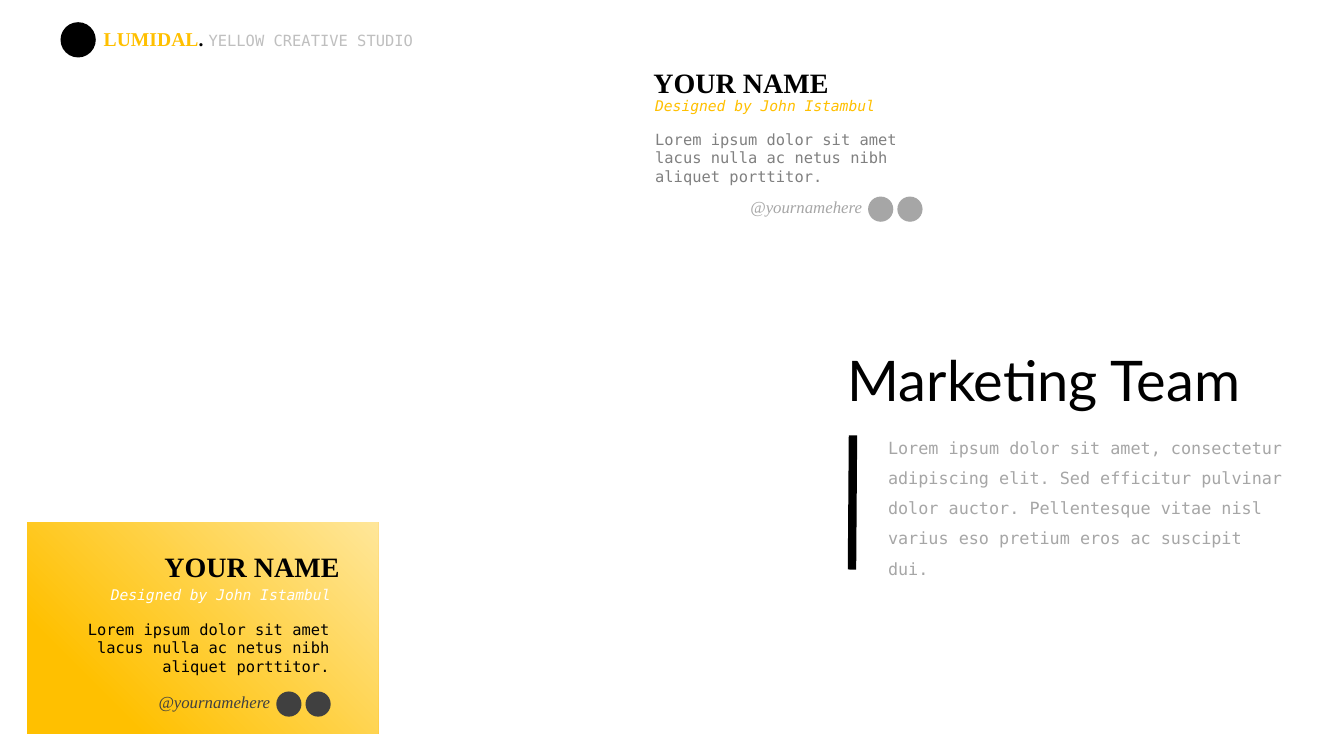
from pptx import Presentation
from pptx.dml.color import RGBColor as Rgb
from pptx.enum.shapes import MSO_CONNECTOR as Link, MSO_SHAPE as Kind
from pptx.enum.text import MSO_ANCHOR as Anchor, MSO_AUTO_SIZE as Fit, PP_ALIGN as Align
from pptx.util import Inches, Pt
from lxml.etree import SubElement

INK = {"black": "000000", "white": "FFFFFF", "gold": "FFC000", "pale": "FFE699",
       "dark": "404040", "mid": "808080", "gray": "A6A6A6", "light": "BFBFBF"}
MONO, SERIF, SANS = "DejaVu Sans Mono", "Times New Roman", "Lato"

BRAND = [("LUMIDAL", SERIF, 14, "gold", "b"),
         (". ", SERIF, 14, "black", "b"),
         ("YELLOW CREATIVE STUDIO", MONO, 11, "light", "")]
TITLE = "Marketing Team"
INTRO = ("Lorem ipsum dolor sit amet, consectetur adipiscing elit. Sed efficitur "
         "pulvinar dolor auctor. Pellentesque vitae nisl varius eso pretium eros "
         "ac suscipit dui.")
NAME, ROLE, TAG = "YOUR NAME", "Designed by John Istambul", "@yournamehere"
BIO = "Lorem ipsum dolor sit amet lacus nulla ac netus nibh aliquet porttitor."

CARDS = [
    {"name": (6.1, 54.5, 27.6, 3.4), "role": (6.5, 56.8, 27.3, 3.7),
     "bio": (6.1, 61, 27.6, 6.6), "dots": (27.4, 68.6), "side": Align.RIGHT,
     "inks": ("white", "black", "dark")},
    {"name": (64.8, 6.5, 25.5, 3.4), "role": (64, 8.2, 27, 3.4),
     "bio": (64, 12.4, 27, 6.6), "dots": (86.1, 19.5), "side": Align.LEFT,
     "inks": ("gold", "mid", "gray")},
]
CELL = Inches(0.1)
DOT, STEP = 2.5, 2.9

deck = Presentation()
deck.slide_width, deck.slide_height = Inches(13.33), Inches(7.5)
slide = deck.slides.add_slide(deck.slide_layouts[6])
shapes = slide.shapes


def grid(*cells):
    return [round(n * CELL) for n in cells]


def hue(key):
    return Rgb.from_string(INK[key])


def write(box, runs, side=Align.LEFT, lead=None, grow=True, flush=False):
    frame = shapes.add_textbox(*grid(*box)).text_frame
    frame.word_wrap = True
    frame.auto_size = Fit.SHAPE_TO_FIT_TEXT if grow else Fit.NONE
    if flush:
        frame.vertical_anchor = Anchor.MIDDLE
        frame.margin_left = frame.margin_right = 0
        frame.margin_top = frame.margin_bottom = 0
    para = frame.paragraphs[0]
    para.alignment = side
    if lead:
        para.line_spacing = lead
    for text, face, size, ink, style in runs:
        run = para.add_run()
        run.text = text
        font = run.font
        font.name, font.size = face, Pt(size)
        font.color.rgb = hue(ink)
        font.bold, font.italic = "b" in style, "i" in style


def draw(kind, box):
    shape = shapes.add_shape(kind, *grid(*box))
    shape.shadow.inherit = False
    shape.line.fill.background()
    return shape


def disc(left, top, size, ink):
    fill = draw(Kind.OVAL, (left, top, size, size)).fill
    fill.solid()
    fill.fore_color.rgb = hue(ink)


def card(name, role, bio, dots, side, inks):
    accent, body, foot = inks
    left, top = dots
    write(bio, [(BIO, MONO, 11, body, "")], side)
    write(name, [(NAME, SERIF, 20, "black", "b")], side, flush=True)
    write(role, [(ROLE, MONO, 10.5, accent, "i")], side, 1.5)
    for i in range(2):
        disc(left + i * STEP, top, DOT, foot)
    write((left - 15, top - 0.5, 15.4, 3), [(TAG, SERIF, 12, foot, "i")], Align.RIGHT)


write((87.1, 41.9, 41.7, 13.1), [(INTRO, MONO, 12, "gray", "")], lead=1.5, grow=False)
write((83.1, 35.1, 45.7, 6.4), [(TITLE, SANS, 40, "black", "")], lead=0.8)

bar = shapes.add_connector(Link.STRAIGHT, *grid(84.6, 43.2, 84.5, 56.5))
bar.line.width = Pt(6)
bar.line.color.rgb = hue("black")
props = bar._element.spPr
SubElement(props, props.tag.split("}")[0].replace("presentationml", "drawingml") + "}effectLst")

panel = draw(Kind.RECTANGLE, (2.7, 51.8, 34.8, 21)).fill
panel.gradient()
panel.gradient_angle = 45
for stop, (share, ink) in zip(panel.gradient_stops, [(0.2, "gold"), (1, "pale")]):
    stop.position = share
    stop.color.rgb = hue(ink)

for parts in CARDS:
    card(**parts)

write((9.3, 2.2, 35.8, 3.4), BRAND)
disc(6, 2.2, 3.5, "black")

deck.save("out.pptx")
